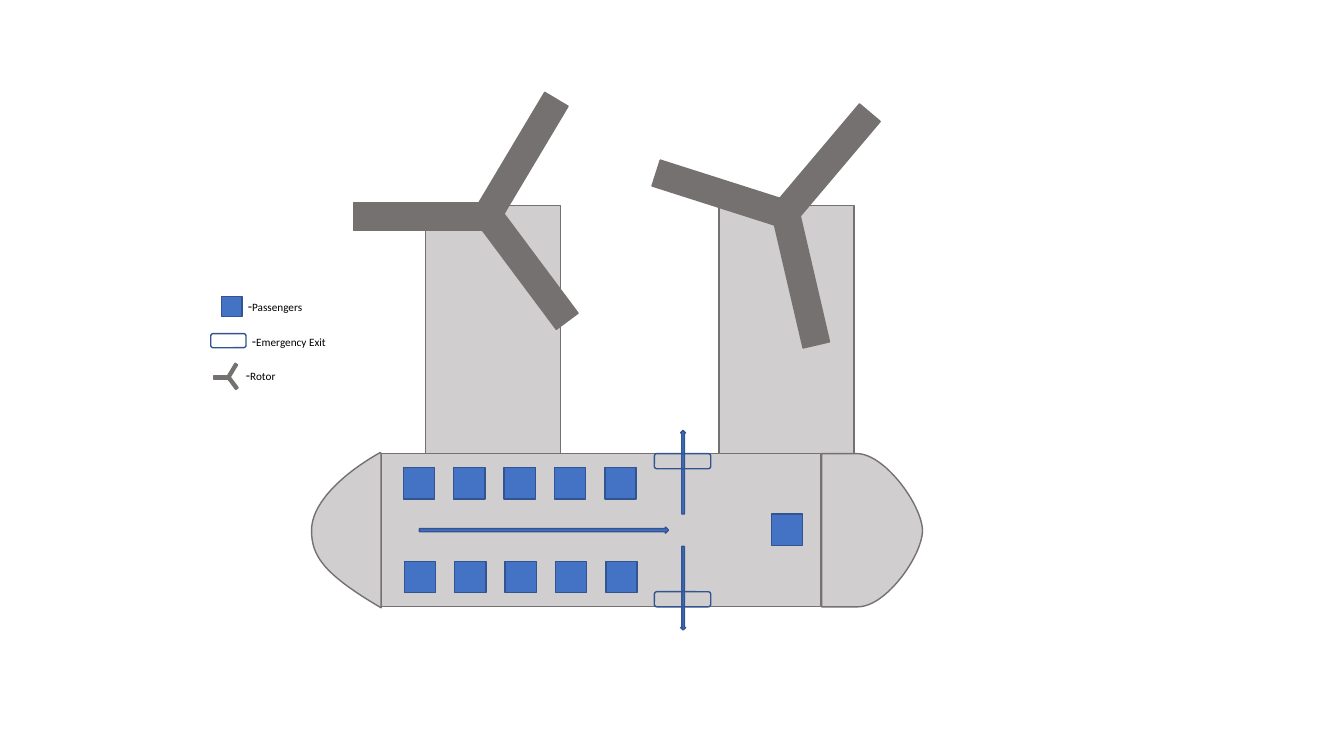
"""Draws a twin-rotor aircraft seating plan with its emergency exits and legend."""
from pptx import Presentation, util as u
from pptx.dml.color import RGBColor
from pptx.enum.shapes import MSO_SHAPE

COLORS = {"hull": "D0CECE", "rotor": "767171", "seat": "4472C4", "edge": "325491", "text": "000000"}

deck = Presentation()
deck.slide_width, deck.slide_height = u.Inches(13.33), u.Inches(7.5)
slide = deck.slides.add_slide(deck.slide_layouts[6])
aircraft = slide.shapes.add_group_shape().shapes


def paint(part, fill, line):
    part.shadow.inherit = False
    if fill:
        part.fill.solid()
        part.fill.fore_color.rgb = RGBColor.from_string(COLORS[fill])
    else:
        part.fill.background()
    part.line.color.rgb = RGBColor.from_string(COLORS[line])
    part.line.width = u.Pt(1)


def add_part(preset, box, fill, line, angle=0):
    part = aircraft.add_shape(preset, *(u.Inches(v) for v in box))
    part.rotation = angle
    paint(part, fill, line)


for wing_left in (7.13, 4.22):
    add_part(MSO_SHAPE.RECTANGLE, (wing_left, 2.04, 1.34, 3.65), "hull", "rotor")
add_part(MSO_SHAPE.RECTANGLE, (3.78, 4.5, 4.36, 1.52), "hull", "rotor")

nose = [(8.15, 4.5)], [
    [(8.15, 4.5), (8.31, 4.5), (8.33, 4.5), (8.5, 4.5)],
    [(8.5, 4.5), (8.77, 4.5), (9.14, 5), (9.15, 5.26)],
    [(9.15, 5.26), (9.15, 5.51), (8.79, 6.02), (8.51, 6.02)],
], [(8.15, 6.02)]
tail = [(3.78, 4.5), (3.77, 4.49)], [
    [(3.77, 4.49), (3.38, 4.71), (3.09, 5), (3.09, 5.26)],
    [(3.09, 5.26), (3.09, 5.51), (3.2, 5.69), (3.78, 6.03)],
], [(3.78, 6.02)]
STEPS = 24
for before, curves, after in (nose, tail):
    outline = list(before)
    for curve in curves:
        for step in range(1, STEPS + 1):
            t = step / STEPS
            weights = ((1 - t) ** 3, 3 * t * (1 - t) ** 2, 3 * t * t * (1 - t), t ** 3)
            outline.append([sum(w * p[axis] for w, p in zip(weights, curve)) for axis in (0, 1)])
    outline += after
    points = [(u.Inches(x), u.Inches(y)) for x, y in outline]
    builder = aircraft.build_freeform(*points[0])
    builder.add_line_segments(points[1:], close=True)
    paint(builder.convert_to_shape(), "hull", "rotor")

SEAT = 0.31
seats = [(row_left + 0.5 * column, top) for row_left, top in ((4, 4.64), (4.01, 5.57)) for column in range(5)]
for left, top in seats + [(7.65, 5.1)]:
    add_part(MSO_SHAPE.RECTANGLE, (left, top, SEAT, SEAT), "seat", "edge")
add_part(MSO_SHAPE.RECTANGLE, (2.2, 2.94, 0.2, 0.2), "seat", "edge")

large_blades = [(4.04, 1.48, 90), (5.09, 1.98, 143.3), (5.04, 0.89, 210.8),
                (7.81, 2.1, 346.9), (8.06, 0.96, 40.2), (7.01, 1.25, 107.7)]
legend_blades = [(2.18, 3.67, 90), (2.29, 3.72, 143.3), (2.29, 3.6, 210.8)]
for blades, width, length in ((large_blades, 0.27, 1.34), (legend_blades, 0.03, 0.15)):
    for left, top, angle in blades:
        add_part(MSO_SHAPE.RECTANGLE, (left, top, width, length), "rotor", "rotor", angle)

add_part(MSO_SHAPE.RIGHT_ARROW, (4.16, 5.23, 2.47, 0.06), "seat", "edge")
for top, angle in ((4.27, 0), (5.42, 180)):
    add_part(MSO_SHAPE.UP_ARROW, (6.75, top, 0.05, 0.83), "seat", "edge", angle)

for exit_box in ((6.49, 4.5, 0.56, 0.15), (6.49, 5.87, 0.56, 0.15), (2.09, 3.31, 0.35, 0.14)):
    add_part(MSO_SHAPE.ROUNDED_RECTANGLE, exit_box, None, "edge")

for name, left, top, width in (("Passengers", 2.36, 2.9, 1.64), ("Rotor", 2.34, 3.59, 1.95),
                               ("Emergency Exit", 2.4, 3.25, 1.95)):
    label = aircraft.add_textbox(*(u.Inches(v) for v in (left, top, width, 0.27))).text_frame
    label.word_wrap = True
    for words, size in (("-", 10), (name, 8)):
        run = label.paragraphs[0].add_run()
        run.text = words
        run.font.name, run.font.size = "Calibri", u.Pt(size)
        run.font.color.rgb = RGBColor.from_string(COLORS["text"])

deck.save("out.pptx")
